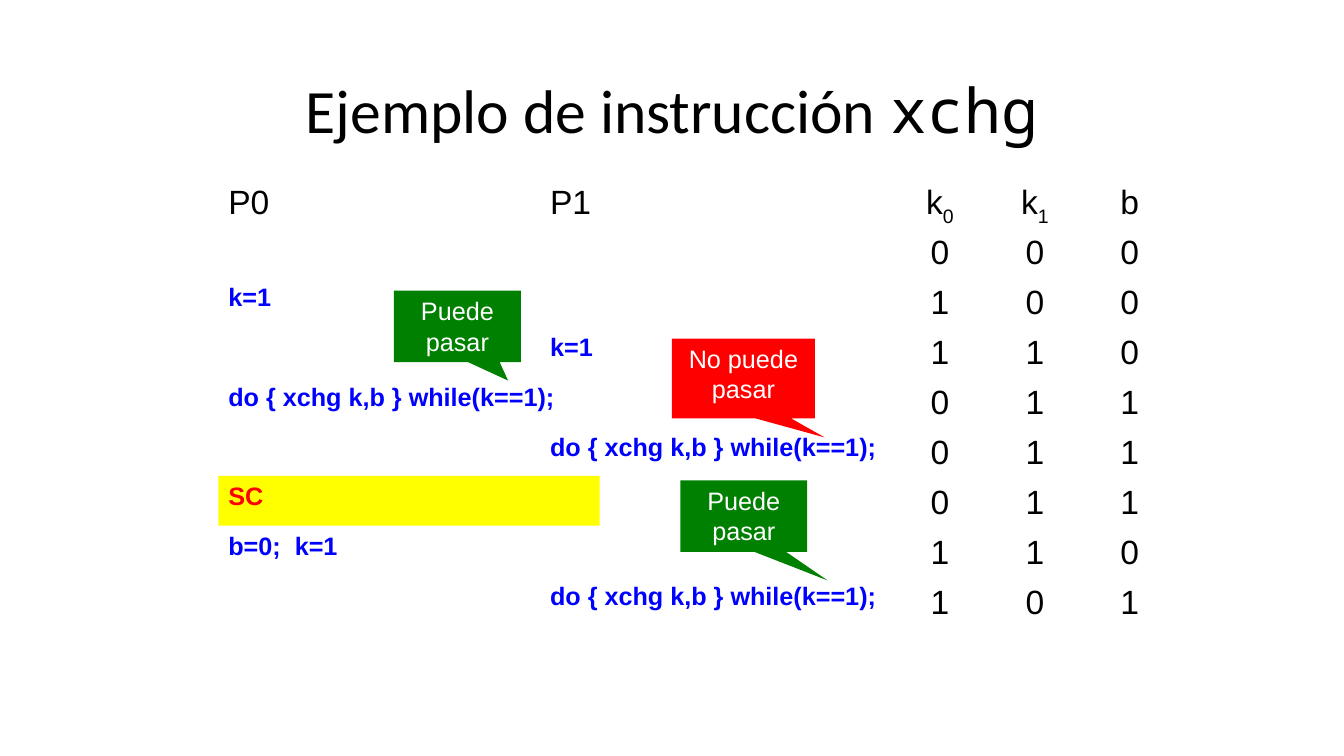
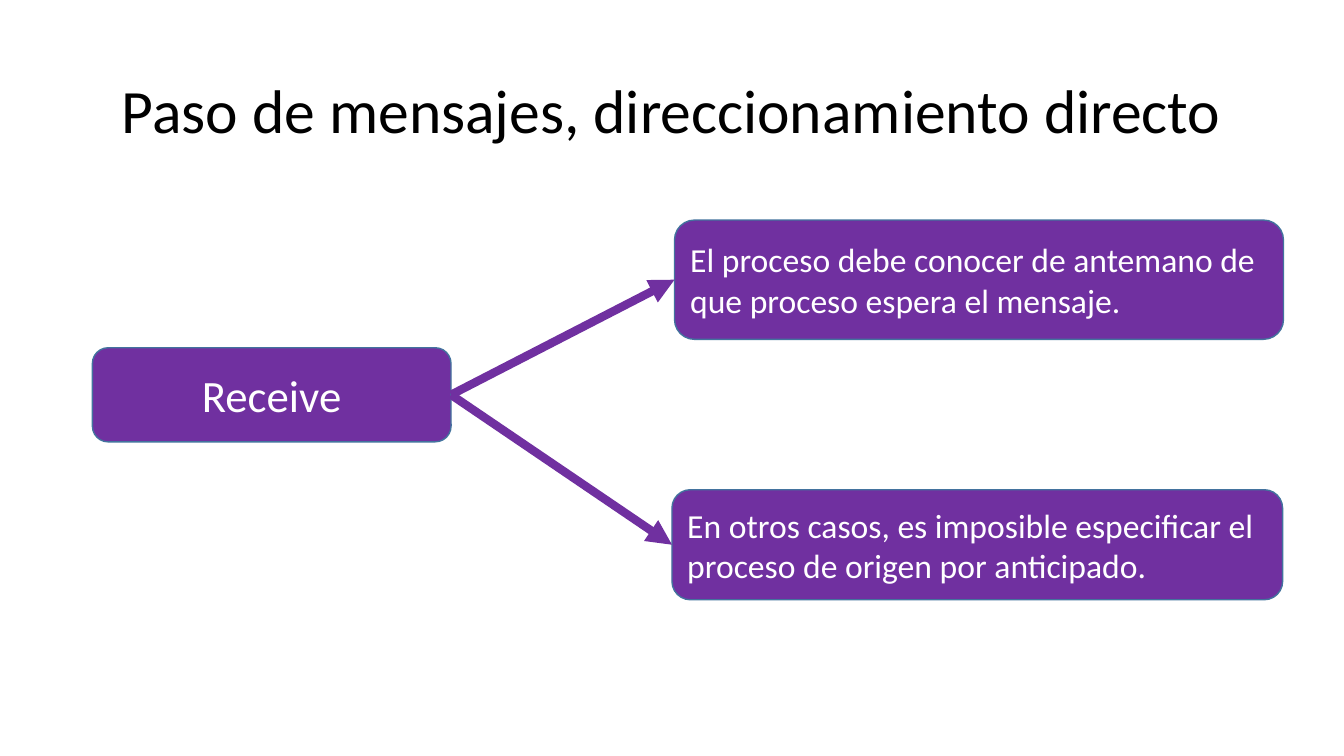
from dataclasses import dataclass
from lxml.etree import SubElement
from pptx import Presentation
from pptx.dml.color import RGBColor
from pptx.enum.shapes import MSO_CONNECTOR, MSO_SHAPE
from pptx.enum.text import MSO_ANCHOR, PP_ALIGN
from pptx.oxml.ns import qn
from pptx.util import Inches, Pt


@dataclass(frozen=True)
class Theme:
    black: str = "000000"
    white: str = "FFFFFF"
    code: str = "0000FF"
    allowed: str = "008000"
    blocked: str = "FF0000"
    highlight: str = "FFFF00"
    purple: str = "7030A0"
    outline: str = "43739E"
    heading_font: str = "Calibri"
    body_font: str = "Arial"
    mono_font: str = "Noto Sans Mono"
    title_size: int = 44
    concept_size: int = 32
    body_size: int = 24
    code_size: int = 18


THEME = Theme()
WIDTH, HEIGHT = Inches(13.33), Inches(7.5)
GRID_COLUMNS, GRID_ROWS = 160, 90

TITLE_AREA = (11, 4.8, 138, 17.4)
TRACE_TOP, TRACE_ROW_HEIGHT = 21, 5.94
TRACE_COLUMNS = [(26, 45.4), (64.3, 43)] + [(105.1 + 11.3 * index, 13.6) for index in range(3)]

LOOP = "do { xchg k,b } while(k==1);"
TRACE_STEPS = [
    ("", "", "000"),
    ("k=1", "", "100"),
    ("", "k=1", "110"),
    (LOOP, "", "011"),
    ("", LOOP, "011"),
    ("SC", "", "011"),
    ("b=0;  k=1", "", "110"),
    ("", LOOP, "101"),
]
CALLOUTS = [
    ("Puede pasar", THEME.allowed, (46.9, 34.6, 15.1, 8.5), (0.4, 0.76)),
    ("No puede pasar", THEME.blocked, (80, 40.3, 17, 9.5), (0.57, 0.74)),
    ("Puede pasar", THEME.allowed, (81, 57.2, 15.1, 8.5), (0.66, 0.9)),
]
CONSEQUENCES = [
    ("El proceso debe conocer de antemano de que proceso espera el mensaje.",
     (80.3, 26.2, 72.5, 14.2)),
    ("En otros casos, es imposible especificar el proceso de origen por anticipado.",
     (80, 58.3, 72.7, 13.1)),
]


def set_format(target, values):
    for name, value in values.items():
        setattr(target, name, value)


def place(area):
    left, top, width, height = area
    column, row = WIDTH / GRID_COLUMNS, HEIGHT / GRID_ROWS
    return [round(length) for length in (left * column, top * row, width * column, height * row)]


def text_style(font, size, color, bold=False):
    return {"name": font, "size": Pt(size), "bold": bold}, color


TITLE = text_style(THEME.heading_font, THEME.title_size, THEME.black)
TITLE_CODE = text_style(THEME.mono_font, THEME.title_size, THEME.black)
VALUE = text_style(THEME.body_font, THEME.body_size, THEME.black)
CODE = text_style(THEME.body_font, THEME.code_size, THEME.code, True)
CRITICAL = text_style(THEME.body_font, THEME.code_size, THEME.blocked, True)
CALLOUT = text_style(THEME.body_font, THEME.code_size, THEME.white)
CONCEPT = text_style(THEME.heading_font, THEME.concept_size, THEME.white)
CONSEQUENCE = text_style(THEME.heading_font, THEME.body_size, THEME.white)


def add_run(paragraph, text, style):
    run = paragraph.add_run()
    run.text = text
    values, color = style
    set_format(run.font, values)
    run.font.color.rgb = RGBColor.from_string(color)
    return run


def write(shape, text, style, align=PP_ALIGN.LEFT, anchor=MSO_ANCHOR.TOP):
    set_format(shape.text_frame, {"word_wrap": True, "vertical_anchor": anchor})
    paragraph = shape.text_frame.paragraphs[0]
    paragraph.alignment = align
    add_run(paragraph, text, style)
    return paragraph


def add_text(slide, area, text, style, **layout):
    return write(slide.shapes.add_textbox(*place(area)), text, style, **layout)


def add_panel(slide, kind, area, fill, outline=None):
    shape = slide.shapes.add_shape(kind, *place(area))
    shape.shadow.inherit = False
    shape.fill.solid()
    shape.fill.fore_color.rgb = RGBColor.from_string(fill)
    if outline:
        shape.line.color.rgb = RGBColor.from_string(outline)
        shape.line.width = Pt(1)
    else:
        shape.line.fill.background()
    return shape


def add_title(slide, text, code=""):
    paragraph = add_text(slide, TITLE_AREA, text, TITLE,
                         align=PP_ALIGN.CENTER, anchor=MSO_ANCHOR.MIDDLE)
    paragraph.line_spacing = 0.9
    if code:
        add_run(paragraph, code, TITLE_CODE)


def trace_area(row, column):
    left, width = TRACE_COLUMNS[column]
    return left, TRACE_TOP + row * TRACE_ROW_HEIGHT, width, TRACE_ROW_HEIGHT


def add_trace_header(slide):
    for column, process in enumerate(("P0", "P1")):
        add_text(slide, trace_area(0, column), process, VALUE)
    for column, (name, subscript) in enumerate((("k", "0"), ("k", "1"), ("b", "")), 2):
        paragraph = add_text(slide, trace_area(0, column), name, VALUE, align=PP_ALIGN.CENTER)
        if subscript:
            run = add_run(paragraph, subscript, VALUE)
            run._r.get_or_add_rPr().set("baseline", "-25000")


def add_trace_step(slide, row, instructions, values):
    for column, instruction in enumerate(instructions):
        area = trace_area(row, column)
        if instruction == "SC":
            write(add_panel(slide, MSO_SHAPE.RECTANGLE, area, THEME.highlight),
                  instruction, CRITICAL)
        elif instruction:
            add_text(slide, area, instruction, CODE)
    for column, value in enumerate(values, 2):
        add_text(slide, trace_area(row, column), value, VALUE, align=PP_ALIGN.CENTER)


def add_callout(slide, text, fill, area, pointer):
    shape = add_panel(slide, MSO_SHAPE.RECTANGULAR_CALLOUT, area, fill)
    for index, share in enumerate(pointer):
        shape.adjustments[index] = share
    write(shape, text, CALLOUT, align=PP_ALIGN.CENTER)


def add_card(slide, text, area, style, align=PP_ALIGN.LEFT):
    shape = add_panel(slide, MSO_SHAPE.ROUNDED_RECTANGLE, area, THEME.purple, THEME.outline)
    write(shape, text, style, align, MSO_ANCHOR.MIDDLE)
    return shape


def add_arrow(slide, source, target):
    connector = slide.shapes.add_connector(MSO_CONNECTOR.STRAIGHT, 0, 0, 0, 0)
    connector.begin_connect(source, 3)
    connector.end_connect(target, 1)
    connector.line.color.rgb = RGBColor.from_string(THEME.purple)
    connector.line.width = Pt(6)
    SubElement(connector.line._get_or_add_ln(), qn("a:tailEnd"), type="triangle")
    SubElement(connector._element.spPr, qn("a:effectLst"))


def build_exchange_slide(slide):
    add_title(slide, "Ejemplo de instrucción ", "xchg")
    add_trace_header(slide)
    for row, (*instructions, values) in enumerate(TRACE_STEPS, 1):
        add_trace_step(slide, row, instructions, values)
    for callout in CALLOUTS:
        add_callout(slide, *callout)


def build_messages_slide(slide):
    add_title(slide, "Paso de mensajes, direccionamiento directo")
    receive = add_card(slide, "Receive", (11, 41.4, 42.7, 11.2), CONCEPT, PP_ALIGN.CENTER)
    for text, area in CONSEQUENCES:
        add_arrow(slide, receive, add_card(slide, text, area, CONSEQUENCE))


def main():
    presentation = Presentation()
    set_format(presentation, {"slide_width": WIDTH, "slide_height": HEIGHT})
    for build in (build_exchange_slide, build_messages_slide):
        build(presentation.slides.add_slide(presentation.slide_layouts[6]))
    presentation.save("out.pptx")


if __name__ == "__main__":
    main()
